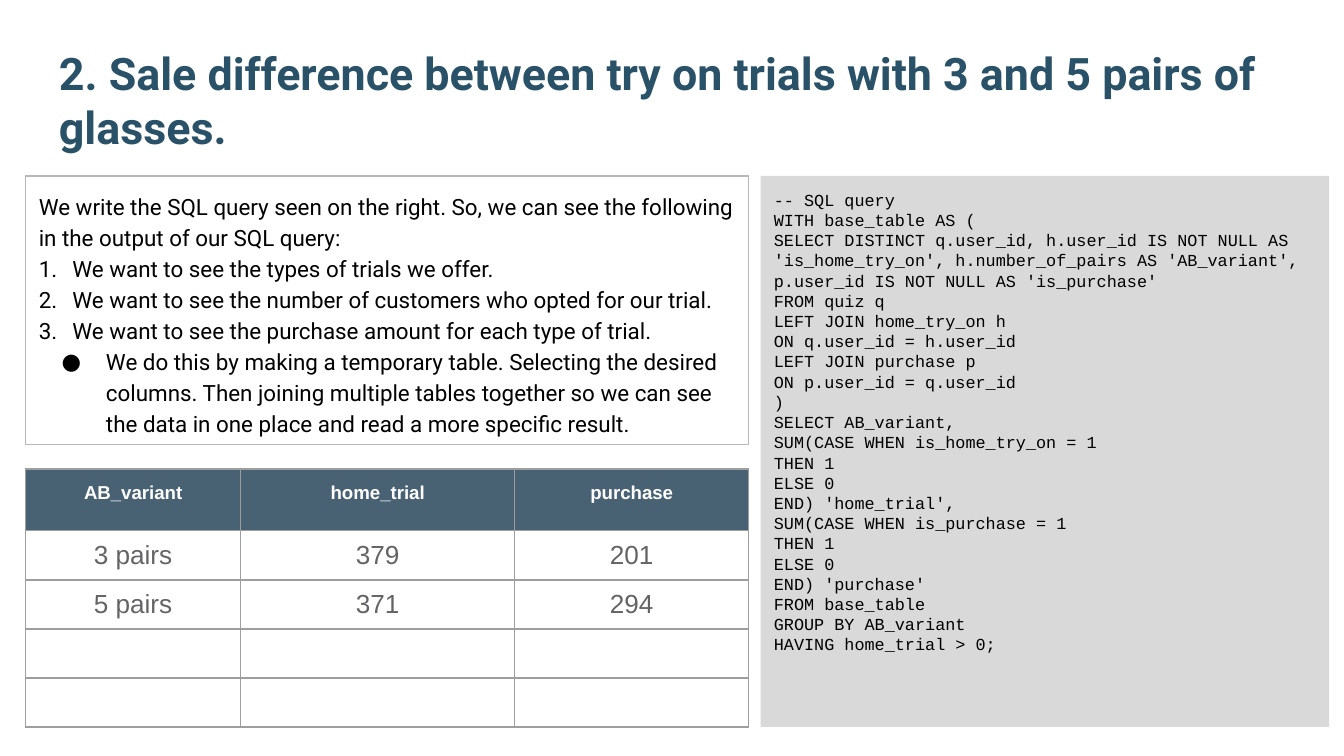
from lxml import etree
from pptx import Presentation
from pptx.dml.color import RGBColor
from pptx.enum.shapes import MSO_SHAPE
from pptx.enum.text import MSO_ANCHOR, PP_ALIGN
from pptx.oxml.ns import qn
from pptx.util import Inches, Pt

RECTANGLE = MSO_SHAPE.RECTANGLE
TOP, MIDDLE, BOTTOM = MSO_ANCHOR.TOP, MSO_ANCHOR.MIDDLE, MSO_ANCHOR.BOTTOM
LEFT, CENTER = PP_ALIGN.LEFT, PP_ALIGN.CENTER

TITLE = "2. Sale difference between try on trials with 3 and 5 pairs of glasses."

# (list style, text)
EXPLANATION = [
    ("plain", "We write the SQL query seen on the right. So, we can see the "
              "following in the output of our SQL query:"),
    ("number", "We want to see the types of trials we offer."),
    ("number", "We want to see the number of customers who opted for our trial."),
    ("number", "We want to see the purchase amount for each type of trial."),
    ("bullet", "We do this by making a temporary table. Selecting the desired "
               "columns. Then joining multiple tables together so we can see "
               "the data in one place and read a more specific result."),
]

QUERY = """-- SQL query
WITH base_table AS (
SELECT DISTINCT q.user_id, h.user_id IS NOT NULL AS 'is_home_try_on', h.number_of_pairs AS 'AB_variant', p.user_id IS NOT NULL AS 'is_purchase'
FROM quiz q
LEFT JOIN home_try_on h
ON q.user_id = h.user_id
LEFT JOIN purchase p
ON p.user_id = q.user_id
)
SELECT AB_variant,
SUM(CASE WHEN is_home_try_on = 1
THEN 1
ELSE 0
END) 'home_trial',
SUM(CASE WHEN is_purchase = 1
THEN 1
ELSE 0
END) 'purchase'
FROM base_table
GROUP BY AB_variant
HAVING home_trial > 0;"""

RESULTS = [
    ("AB_variant", "home_trial", "purchase"),
    ("3 pairs", "379", "201"),
    ("5 pairs", "371", "294"),
    ("", "", ""),
    ("", "", ""),
]

# Text styles: font, size, colour, bold
THEME = {
    "title": ("Roboto", 24, "295269", True),
    "body": ("Roboto", 12, "000000", False),
    "code": ("Courier New", 9, "000000", False),
    "header": ("Arial", 10, "FFFFFF", True),
    "value": ("Arial", 14, "646466", False),
    "code_fill": "D9D9D9",
    "box_line": "B7B7B7",
    "table_line": "9E9E9E",
    "header_fill": "204056",
    "header_opacity": 82,
    "line_width": 0.75,
}

# Grid, in inches; the slide is 16:9
SLIDE_WIDTH = 10
SLIDE_HEIGHT = SLIDE_WIDTH * 9 / 16
TITLE_MARGIN, TITLE_TOP, TITLE_HEIGHT = 0.34, 0.32, 0.92
LEFT_COLUMN = (0.19, 5.38)
RIGHT_COLUMN = (5.66, 4.23)
BODY_TOP, BODY_BOTTOM = 1.31, 5.41
EXPLANATION_HEIGHT = 2
TABLE_TOP = 3.49
HEADER_HEIGHT = 0.46
COLUMN_WIDTHS = (1.6, 2.04, 1.74)
INSET = 0.1
LINE_SPACING = 1.15

# List style: left margin, first-line indent, marker element, its attributes
LIST_STYLES = {
    "number": (0.25, -0.25, "a:buAutoNum", {"type": "arabicPeriod"}),
    "bullet": (0.5, -0.33, "a:buChar", {"char": "●"}),
}


def add_run(paragraph, text, style):
    name, size, color, bold = THEME[style]
    run = paragraph.add_run()
    run.text = text
    run.font.name, run.font.size, run.font.bold = name, Pt(size), bold
    run.font.color.rgb = RGBColor.from_string(color)


def add_list_marker(paragraph, list_style, style):
    margin, indent, tag, attributes = LIST_STYLES[list_style]
    properties = paragraph._p.get_or_add_pPr()
    properties.set("marL", str(Inches(margin)))
    properties.set("indent", str(Inches(indent)))
    etree.SubElement(properties, qn("a:buFont"), {"typeface": THEME[style][0]})
    etree.SubElement(properties, qn(tag), attributes)


def fill_frame(frame, items, style, anchor=TOP, line_spacing=None):
    """Write (list style, text) items as paragraphs of a text frame."""
    frame.word_wrap = True
    frame.vertical_anchor = anchor
    frame.margin_left = frame.margin_right = Inches(INSET)
    frame.margin_top = frame.margin_bottom = Inches(INSET)
    for index, (list_style, text) in enumerate(items):
        paragraph = frame.add_paragraph() if index else frame.paragraphs[0]
        paragraph.alignment = LEFT
        if line_spacing:
            paragraph.line_spacing = line_spacing
        if list_style in LIST_STYLES:
            add_list_marker(paragraph, list_style, style)
        add_run(paragraph, text, style)


def add_panel(slide, column, height, fill=None, line=None):
    left, width = column
    shape = slide.shapes.add_shape(RECTANGLE, Inches(left), Inches(BODY_TOP),
                                   Inches(width), Inches(height))
    shape.shadow.inherit = False
    if fill:
        shape.fill.solid()
        shape.fill.fore_color.rgb = RGBColor.from_string(fill)
    else:
        shape.fill.background()
    if line:
        shape.line.color.rgb = RGBColor.from_string(line)
        shape.line.width = Pt(THEME["line_width"])
    else:
        shape.line.fill.background()
    return shape.text_frame


def add_borders(cell):
    properties = cell._tc.get_or_add_tcPr()
    for side in ("a:lnL", "a:lnR", "a:lnT", "a:lnB"):
        line = etree.SubElement(properties, qn(side),
                                {"w": str(Pt(THEME["line_width"]))})
        solid = etree.SubElement(line, qn("a:solidFill"))
        etree.SubElement(solid, qn("a:srgbClr"), {"val": THEME["table_line"]})


def style_cell(cell, text, is_header):
    add_borders(cell)
    cell.margin_top = cell.margin_bottom = Inches(INSET if is_header else 0)
    cell.vertical_anchor = TOP if is_header else MIDDLE
    if is_header:
        cell.fill.solid()
        cell.fill.fore_color.rgb = RGBColor.from_string(THEME["header_fill"])
        color = cell._tc.tcPr.find(qn("a:solidFill")).find(qn("a:srgbClr"))
        etree.SubElement(color, qn("a:alpha"),
                         {"val": str(THEME["header_opacity"] * 1000)})
    else:
        cell.fill.background()
    if text:
        paragraph = cell.text_frame.paragraphs[0]
        paragraph.alignment = CENTER
        add_run(paragraph, text, "header" if is_header else "value")


def add_results(slide):
    left, width = LEFT_COLUMN
    height = BODY_BOTTOM - TABLE_TOP
    table = slide.shapes.add_table(len(RESULTS), len(COLUMN_WIDTHS), Inches(left),
                                   Inches(TABLE_TOP), Inches(width),
                                   Inches(height)).table
    table.horz_banding = False
    for column, column_width in zip(table.columns, COLUMN_WIDTHS):
        column.width = Inches(column_width)
    row_height = (height - HEADER_HEIGHT) / (len(RESULTS) - 1)
    for index, (row, values) in enumerate(zip(table.rows, RESULTS)):
        row.height = Inches(row_height if index else HEADER_HEIGHT)
        for cell, text in zip(row.cells, values):
            style_cell(cell, text, index == 0)


def main():
    presentation = Presentation()
    presentation.slide_width = Inches(SLIDE_WIDTH)
    presentation.slide_height = Inches(SLIDE_HEIGHT)
    slide = presentation.slides.add_slide(presentation.slide_layouts[6])

    title = slide.shapes.add_textbox(Inches(TITLE_MARGIN), Inches(TITLE_TOP),
                                     Inches(SLIDE_WIDTH - 2 * TITLE_MARGIN),
                                     Inches(TITLE_HEIGHT))
    fill_frame(title.text_frame, [("plain", TITLE)], "title", BOTTOM)

    code = add_panel(slide, RIGHT_COLUMN, BODY_BOTTOM - BODY_TOP,
                     fill=THEME["code_fill"])
    fill_frame(code, [("plain", line) for line in QUERY.splitlines()], "code")

    explanation = add_panel(slide, LEFT_COLUMN, EXPLANATION_HEIGHT,
                            line=THEME["box_line"])
    fill_frame(explanation, EXPLANATION, "body", line_spacing=LINE_SPACING)

    add_results(slide)
    presentation.save("out.pptx")


if __name__ == "__main__":
    main()
